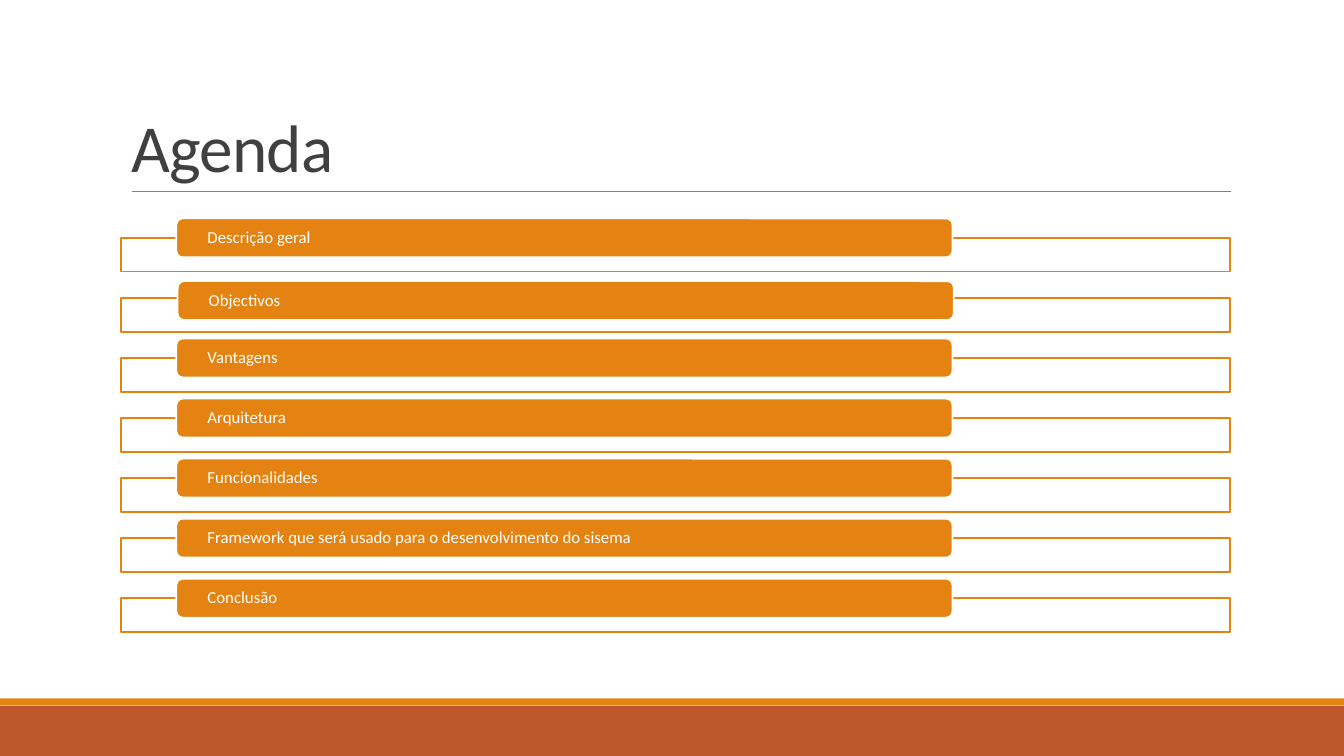
from lxml import etree
from pptx import Presentation
from pptx.dml.color import RGBColor
from pptx.enum import shapes, text
from pptx.oxml import ns
from pptx.util import Pt

ORANGE, RUST, WHITE = "E48312", "BD582C", "FFFFFF"
DARK, GREY = "404040", "808080"
FONT = "Calibri"
SLIDE_WIDTH, SLIDE_HEIGHT = 960, 540
FRAME_LEFT, FRAME_TOP, FRAME_WIDTH, FRAME_HEIGHT = 86.4, 170, 792, 24
BAR_LEFT, BAR_TOP, BAR_WIDTH, BAR_HEIGHT = 126, 156, 554.4, 27.8
TOPIC_PITCH = 42.9
TOPICS = [
    "Descrição geral",
    "Objectivos",
    "Vantagens",
    "Arquitetura",
    "Funcionalidades",
    "Framework que será usado para o desenvolvimento do sisema",
    "Conclusão",
]
NUDGES = {"Objectivos": (0.9, 1.9)}


def rgb(colour):
    """Turn a hex string into a colour."""
    return RGBColor.from_string(colour)


def set_all(target, values):
    """Set every attribute named in a dict of format values."""
    for name, value in values.items():
        setattr(target, name, value)


def write(frame, content, size, colour, frame_format, line_spacing):
    """Put one left-aligned paragraph in a text frame and return its run."""
    set_all(frame, frame_format)
    frame.text = content
    paragraph = frame.paragraphs[0]
    set_all(paragraph, {"alignment": text.PP_ALIGN.LEFT, "line_spacing": line_spacing})
    run = paragraph.runs[0]
    set_all(run.font, {"name": FONT, "size": Pt(size)})
    run.font.color.rgb = rgb(colour)
    return run


def add_box(slide, kind, bounds, fill, outline=None):
    """Add a filled preset shape, outlined only when a colour is given."""
    box = slide.shapes.add_shape(kind, *map(Pt, bounds))
    box.shadow.inherit = False
    box.fill.solid()
    box.fill.fore_color.rgb = rgb(fill)
    if outline:
        box.line.color.rgb = rgb(outline)
        box.line.width = Pt(1.25)
    else:
        box.line.fill.background()
    return box


def set_opacity(box, percent):
    """Make the solid fill of a shape partly transparent."""
    fill_colour = box.fill._xPr.find(ns.qn("a:solidFill"))[0]
    etree.SubElement(fill_colour, ns.qn("a:alpha"), val=str(percent * 1000))


def add_rule(slide, left, right, y):
    """Draw the thin grey rule under the title."""
    rule = slide.shapes.add_connector(
        shapes.MSO_CONNECTOR.STRAIGHT, Pt(left), Pt(y), Pt(right), Pt(y))
    rule.line.color.rgb = rgb(GREY)
    rule.line.width = Pt(0.5)
    etree.SubElement(rule._element.spPr, ns.qn("a:effectLst"))


def add_title(slide, content):
    """Move and format the title placeholder."""
    title = slide.shapes.title
    set_all(title, {"left": Pt(86.4), "top": Pt(22.6),
                    "width": Pt(792), "height": Pt(114.2)})
    run = write(title.text_frame, content, 48, DARK, {
        "vertical_anchor": text.MSO_ANCHOR.BOTTOM,
        "auto_size": text.MSO_AUTO_SIZE.NONE,
        "word_wrap": True,
    }, 0.85)
    run.font._element.set("spc", "-50")


def add_topic(slide, index, topic):
    """Add one agenda topic: an open frame with a labelled bar over it."""
    offset = index * TOPIC_PITCH
    frame = add_box(slide, shapes.MSO_SHAPE.RECTANGLE,
                    (FRAME_LEFT, FRAME_TOP + offset, FRAME_WIDTH, FRAME_HEIGHT),
                    WHITE, ORANGE)
    set_opacity(frame, 90)
    right, down = NUDGES.get(topic, (0, 0))
    bar = add_box(slide, shapes.MSO_SHAPE.ROUNDED_RECTANGLE,
                  (BAR_LEFT + right, BAR_TOP + offset + down, BAR_WIDTH, BAR_HEIGHT),
                  ORANGE, WHITE)
    write(bar.text_frame, topic, 12, WHITE, {
        "vertical_anchor": text.MSO_ANCHOR.MIDDLE,
        "margin_left": Pt(20.9), "margin_right": Pt(20.9),
        "margin_top": 0, "margin_bottom": 0,
        "word_wrap": True,
    }, 0.9)


def main():
    """Build the agenda slide."""
    deck = Presentation()
    set_all(deck, {"slide_width": Pt(SLIDE_WIDTH), "slide_height": Pt(SLIDE_HEIGHT)})
    slide = deck.slides.add_slide(deck.slide_layouts[5])
    for top, height, colour in ((504, 36, RUST), (498.8, 5, ORANGE)):
        add_box(slide, shapes.MSO_SHAPE.RECTANGLE,
                (0, top, SLIDE_WIDTH, height), colour)
    add_rule(slide, 94, 879, 136.8)
    add_title(slide, "Agenda")
    for index, topic in enumerate(TOPICS):
        add_topic(slide, index, topic)
    deck.save("out.pptx")


main()
